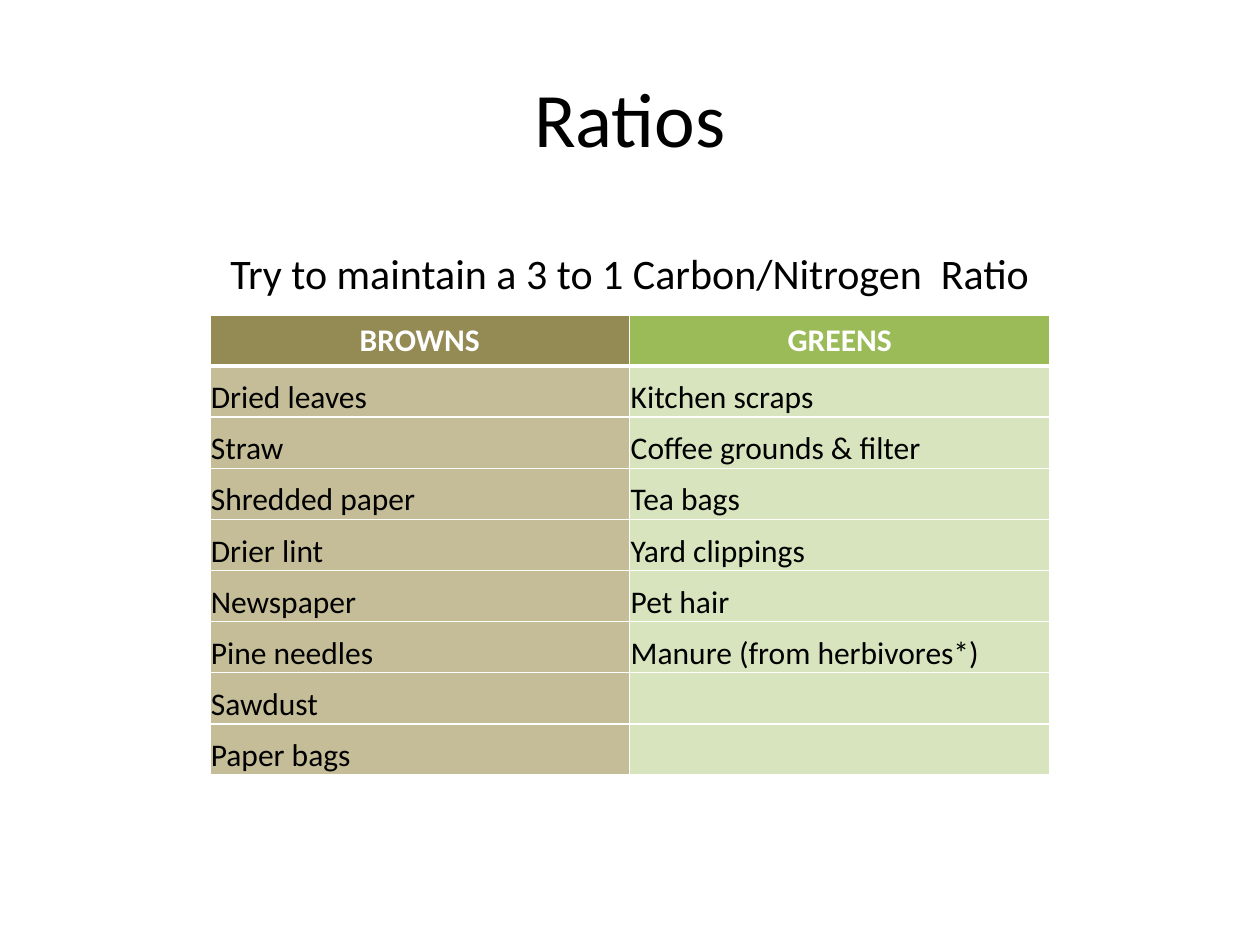
from dataclasses import dataclass

from lxml import etree
from pptx import Presentation
from pptx.dml.color import RGBColor
from pptx.enum.text import MSO_ANCHOR, PP_ALIGN
from pptx.oxml.ns import qn
from pptx.util import Cm, Pt

CENTER, LEFT = PP_ALIGN.CENTER, PP_ALIGN.LEFT
TOP, MIDDLE, BOTTOM = MSO_ANCHOR.TOP, MSO_ANCHOR.MIDDLE, MSO_ANCHOR.BOTTOM

FONT = "Calibri"
BLACK, WHITE = "000000", "FFFFFF"
TABLE_LEFT, TABLE_TOP, TABLE_WIDTH = 4.23, 6.35, 16.93
ROW_HEIGHT = 1.03
THIN, THICK = 1, 3


@dataclass
class Material:
    heading: str
    heading_fill: str
    item_fill: str
    items: list[str]


@dataclass
class Caption:
    text: str
    left: float
    top: float
    width: float
    height: float
    size: int
    anchor: MSO_ANCHOR


MATERIALS = [
    Material("BROWNS", "948A54", "C4BD97",
             ["Dried leaves", "Straw", "Shredded paper", "Drier lint",
              "Newspaper", "Pine needles", "Sawdust", "Paper bags"]),
    Material("GREENS", "9BBB59", "D7E4BD",
             ["Kitchen scraps", "Coffee grounds & filter", "Tea bags",
              "Yard clippings", "Pet hair", "Manure (from herbivores*)"]),
]
CAPTIONS = [
    Caption("Ratios", 1.27, 0.76, 22.86, 3.18, 44, MIDDLE),
    Caption("Try to maintain a 3 to 1 Carbon/Nitrogen  Ratio",
            TABLE_LEFT, 4.87, TABLE_WIDTH, 1.28, 24, TOP),
]


def rgb(color: str) -> RGBColor:
    return RGBColor.from_string(color)


def write(frame, text: str, size: int, color: str = BLACK,
          align: PP_ALIGN = CENTER, bold: bool = False) -> None:
    paragraph = frame.paragraphs[0]
    paragraph.alignment = align
    run = paragraph.add_run()
    run.text = text
    run.font.name = FONT
    run.font.size = Pt(size)
    run.font.bold = bold
    run.font.color.rgb = rgb(color)


def add_caption(slide, caption: Caption) -> None:
    box = slide.shapes.add_textbox(Cm(caption.left), Cm(caption.top),
                                   Cm(caption.width), Cm(caption.height))
    box.text_frame.word_wrap = True
    box.text_frame.vertical_anchor = caption.anchor
    write(box.text_frame, caption.text, caption.size)


def style_cell(cell, fill: str, top: int = THIN, bottom: int = THIN) -> None:
    properties = cell._tc.get_or_add_tcPr()
    for side, width in (("L", THIN), ("R", THIN), ("T", top), ("B", bottom)):
        line = etree.SubElement(properties, qn(f"a:ln{side}"), w=str(Pt(width)))
        solid = etree.SubElement(line, qn("a:solidFill"))
        etree.SubElement(solid, qn("a:srgbClr"), val=WHITE)
    cell.fill.solid()
    cell.fill.fore_color.rgb = rgb(fill)


def add_materials(slide, materials: list[Material]) -> None:
    rows = 1 + max(len(material.items) for material in materials)
    table = slide.shapes.add_table(
        rows, len(materials), Cm(TABLE_LEFT), Cm(TABLE_TOP),
        Cm(TABLE_WIDTH), Cm(ROW_HEIGHT * rows)).table
    table.horz_banding = False

    for column, material in enumerate(materials):
        # Heading cell
        heading = table.cell(0, column)
        style_cell(heading, material.heading_fill, bottom=THICK)
        write(heading.text_frame, material.heading, 18, WHITE, bold=True)

        # Item cells, left empty below the shorter list
        for row in range(1, rows):
            cell = table.cell(row, column)
            style_cell(cell, material.item_fill, top=THICK if row == 1 else THIN)
            if row <= len(material.items):
                cell.vertical_anchor = BOTTOM
                cell.margin_left = cell.margin_right = cell.margin_top = Cm(0.02)
                cell.margin_bottom = Cm(0)
                write(cell.text_frame, material.items[row - 1], 18, align=LEFT)


def main() -> None:
    deck = Presentation()
    deck.slide_width, deck.slide_height = Cm(25.4), Cm(19.05)
    slide = deck.slides.add_slide(deck.slide_layouts[6])
    add_materials(slide, MATERIALS)
    for caption in CAPTIONS:
        add_caption(slide, caption)
    deck.save("out.pptx")


if __name__ == "__main__":
    main()
